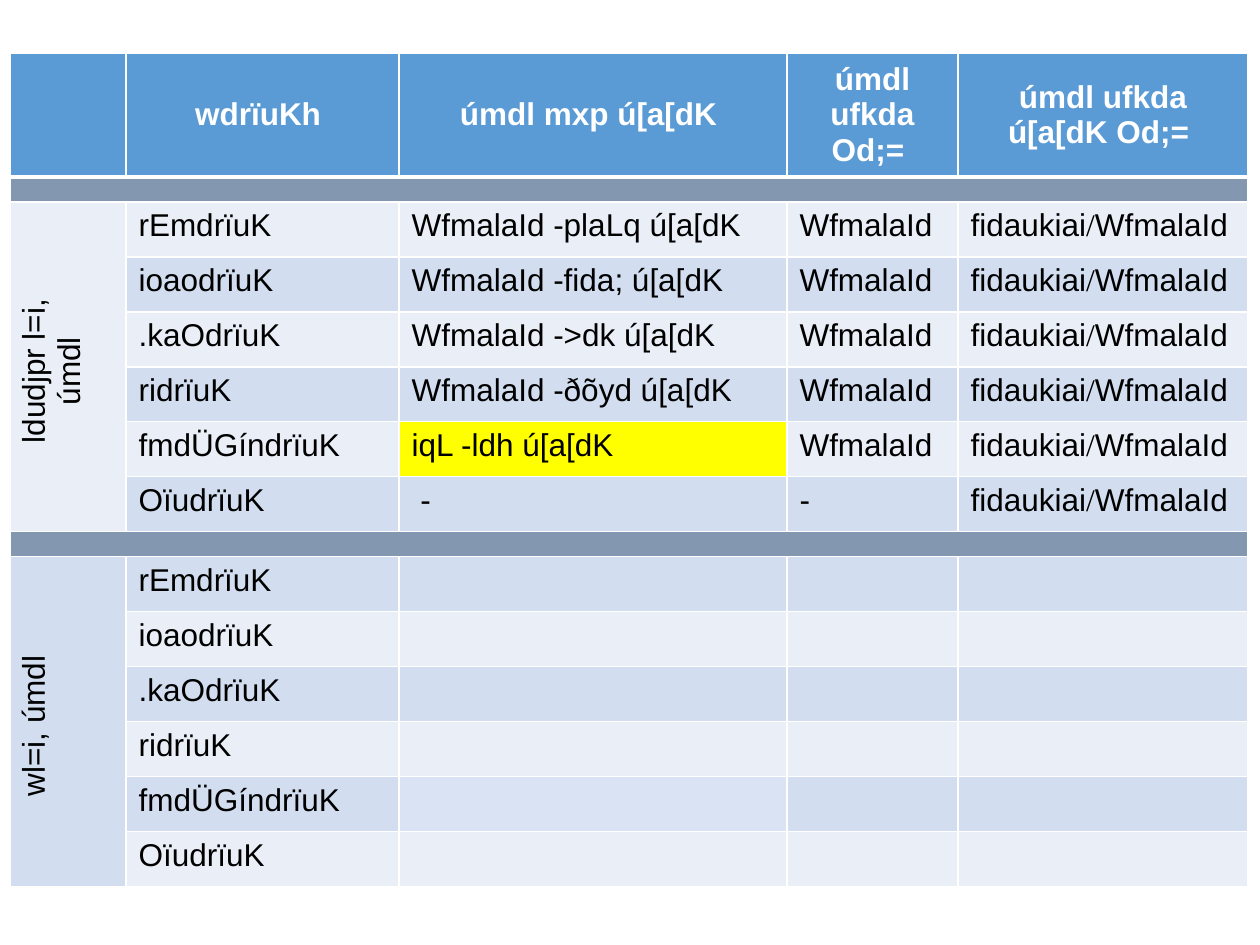
"""Build a slide with a two-section table of noun cases and verb forms."""
from lxml import etree
from pptx import Presentation
from pptx import util as u
from pptx.dml.color import RGBColor
from pptx.enum import text
from pptx.oxml import ns

PX = 7257
HEADER_BLUE = RGBColor(0x5B, 0x9B, 0xD5)
DIVIDER = RGBColor(0x84, 0x97, 0xB0)
LIGHT = RGBColor(0xEA, 0xEF, 0xF7)
DARK = RGBColor(0xD2, 0xDE, 0xEF)
PALE = RGBColor(0xDA, 0xE3, 0xF3)
YELLOW = RGBColor(0xFF, 0xFF, 0x00)
WHITE = RGBColor(0xFF, 0xFF, 0xFF)
BLACK = RGBColor(0, 0, 0)

LEFT, TOP = 10, 53
COLUMNS = [116, 273, 388, 171, 290]
HEADER_HEIGHT, DIVIDER_HEIGHT, ROW_HEIGHT = 124, 25, 55

HEADINGS = ["", "wdrïuKh ", "úmdl mxp ú[a[dK ", "úmdl ufkda Od;= ",
            "úmdl ufkda ú[a[dK Od;= "]
DOORS = ["rEmdrïuK", "ioaodrïuK", ".kaOdrïuK", "ridrïuK", "fmdÜGíndrïuK",
         "OïudrïuK"]
FIVE_SENSES = ["WfmalaId -plaLq ú[a[dK", "WfmalaId -fida; ú[a[dK",
               "WfmalaId ->dk ú[a[dK", "WfmalaId -ðõyd ú[a[dK",
               "iqL -ldh ú[a[dK", " -"]
MIND_ELEMENT = ["WfmalaId"] * 5 + ["-"]
MIND_CONSCIOUSNESS = ["fidaukiai/WfmalaId"] * 6
BLANK = [""] * 6
SECTIONS = [
    (["ldudjpr l=i, ", "úmdl "],
     [DOORS, FIVE_SENSES, MIND_ELEMENT, MIND_CONSCIOUSNESS]),
    (["wl=i, úmdl "], [DOORS, BLANK, BLANK, BLANK]),
]
TOUCH_FILLS = [YELLOW, PALE]

BODY = {"size": u.Pt(18), "bold": False}
HEADING = {"size": u.Pt(18), "bold": True}


def set_borders(cell, bottom=1):
    """Draw white lines round a cell."""
    properties = cell._tc.get_or_add_tcPr()
    widths = {"lnL": 1, "lnR": 1, "lnT": 1, "lnB": bottom}
    for place, (side, width) in enumerate(widths.items()):
        line = etree.Element(ns.qn(f"a:{side}"), w=str(u.Pt(width)))
        fill = etree.SubElement(line, ns.qn("a:solidFill"))
        etree.SubElement(fill, ns.qn("a:srgbClr"), val=str(WHITE))
        properties.insert(place, line)


def paint(cell, color, bottom=1):
    """Fill a cell and give it its borders."""
    cell.fill.solid()
    cell.fill.fore_color.rgb = color
    set_borders(cell, bottom)


def add_run(paragraph, wording, face, color, style):
    """Add one formatted run."""
    run = paragraph.add_run()
    run.text = wording
    for key, value in {**style, "name": face}.items():
        setattr(run.font, key, value)
    run.font.color.rgb = color


def write(cell, lines, color=BLACK, style=BODY, centred=False):
    """Write paragraphs in Arial, with any slash in Times New Roman."""
    for number, line in enumerate(lines):
        frame = cell.text_frame
        paragraph = frame.add_paragraph() if number else frame.paragraphs[0]
        if centred:
            paragraph.alignment = text.PP_ALIGN.CENTER
            cell.vertical_anchor = text.MSO_ANCHOR.MIDDLE
        faces = ["Arial", "Times New Roman", "Arial"]
        for wording, face in zip(line.partition("/"), faces):
            if wording:
                add_run(paragraph, wording, face, color, style)


def add_header(table):
    """Fill the heading row."""
    for column, heading in enumerate(HEADINGS):
        cell = table.cell(0, column)
        paint(cell, HEADER_BLUE, bottom=3)
        write(cell, [heading], WHITE, HEADING, centred=True)


def add_divider(table, row):
    """Merge a thin row into a divider band."""
    for cell in table.rows[row].cells:
        paint(cell, DIVIDER)
        etree.SubElement(cell.text_frame.paragraphs[0]._p,
                         ns.qn("a:endParaRPr"), sz="500")
    table.cell(row, 0).merge(table.cell(row, len(COLUMNS) - 1))


def add_section(table, first, title, columns, touch_fill):
    """Fill a banded section with its vertical title."""
    for row, values in enumerate(zip(*columns), first):
        band = DARK if row % 2 else LIGHT
        paint(table.cell(row, 0), DARK if first % 2 else LIGHT)
        for column, value in enumerate(values, 1):
            cell = table.cell(row, column)
            is_touch = row == first + 4 and column == 2
            paint(cell, touch_fill if is_touch else band)
            write(cell, [value])
    title_cell = table.cell(first, 0)
    title_cell.merge(table.cell(first + len(DOORS) - 1, 0))
    write(title_cell, title, centred=True)
    title_cell._tc.get_or_add_tcPr().set("vert", "vert270")


def add_grid(slide):
    """Add the empty table with its row and column sizes."""
    section_heights = [DIVIDER_HEIGHT] + [ROW_HEIGHT] * len(DOORS)
    heights = [HEADER_HEIGHT] + section_heights * len(SECTIONS)
    table = slide.shapes.add_table(
        len(heights), len(COLUMNS), LEFT * PX, TOP * PX,
        sum(COLUMNS) * PX, sum(heights) * PX).table
    table.horz_banding = False
    for column, width in zip(table.columns, COLUMNS):
        column.width = width * PX
    for row, height in zip(table.rows, heights):
        row.height = height * PX
    return table


def main():
    """Build and save the slide."""
    deck = Presentation()
    deck.slide_width, deck.slide_height = u.Inches(10), u.Inches(7.5)
    slide = deck.slides.add_slide(deck.slide_layouts[6])
    table = add_grid(slide)
    add_header(table)
    for number, (title, columns) in enumerate(SECTIONS):
        divider = 1 + number * (len(DOORS) + 1)
        add_divider(table, divider)
        add_section(table, divider + 1, title, columns, TOUCH_FILLS[number])
    deck.save("out.pptx")


if __name__ == "__main__":
    main()
